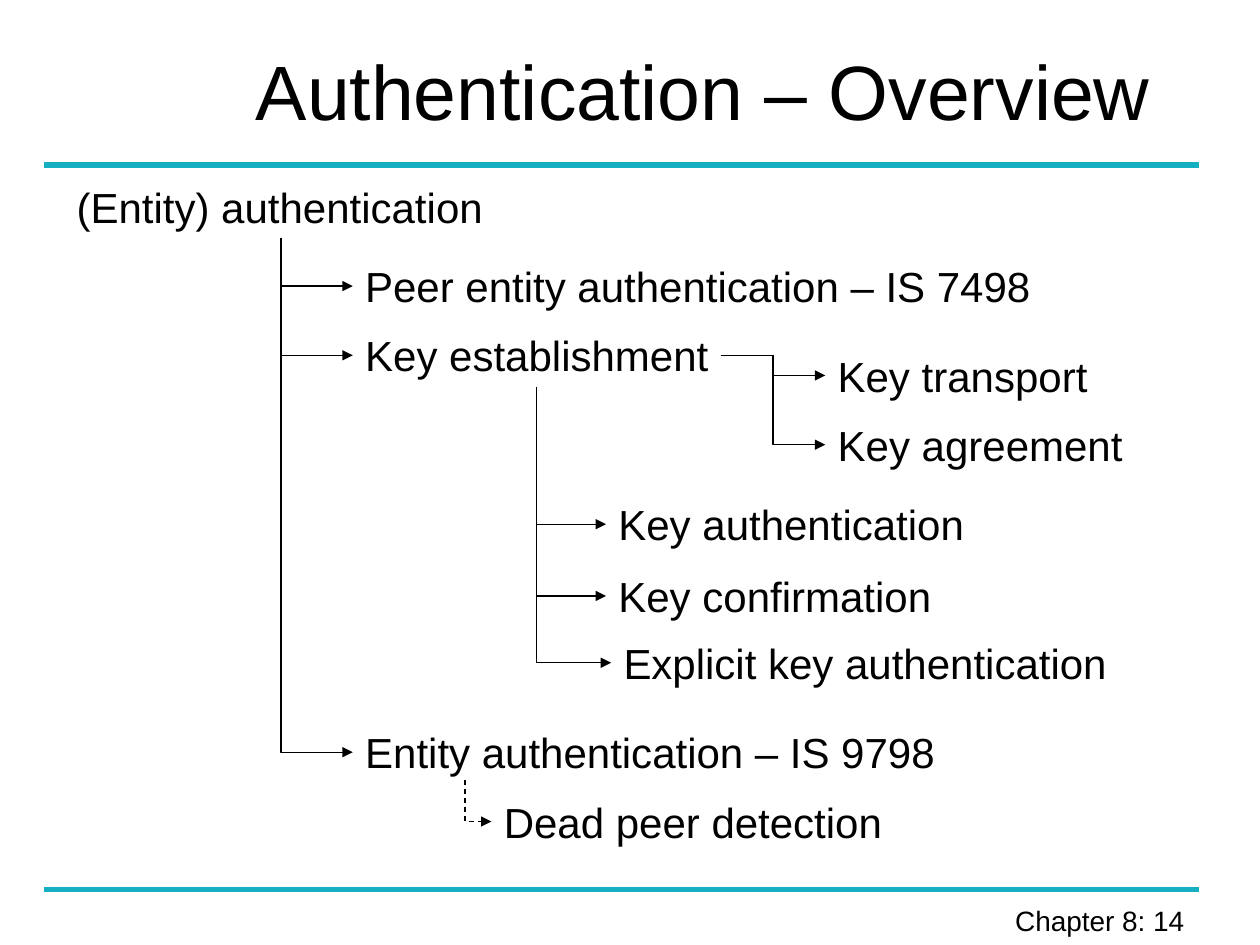
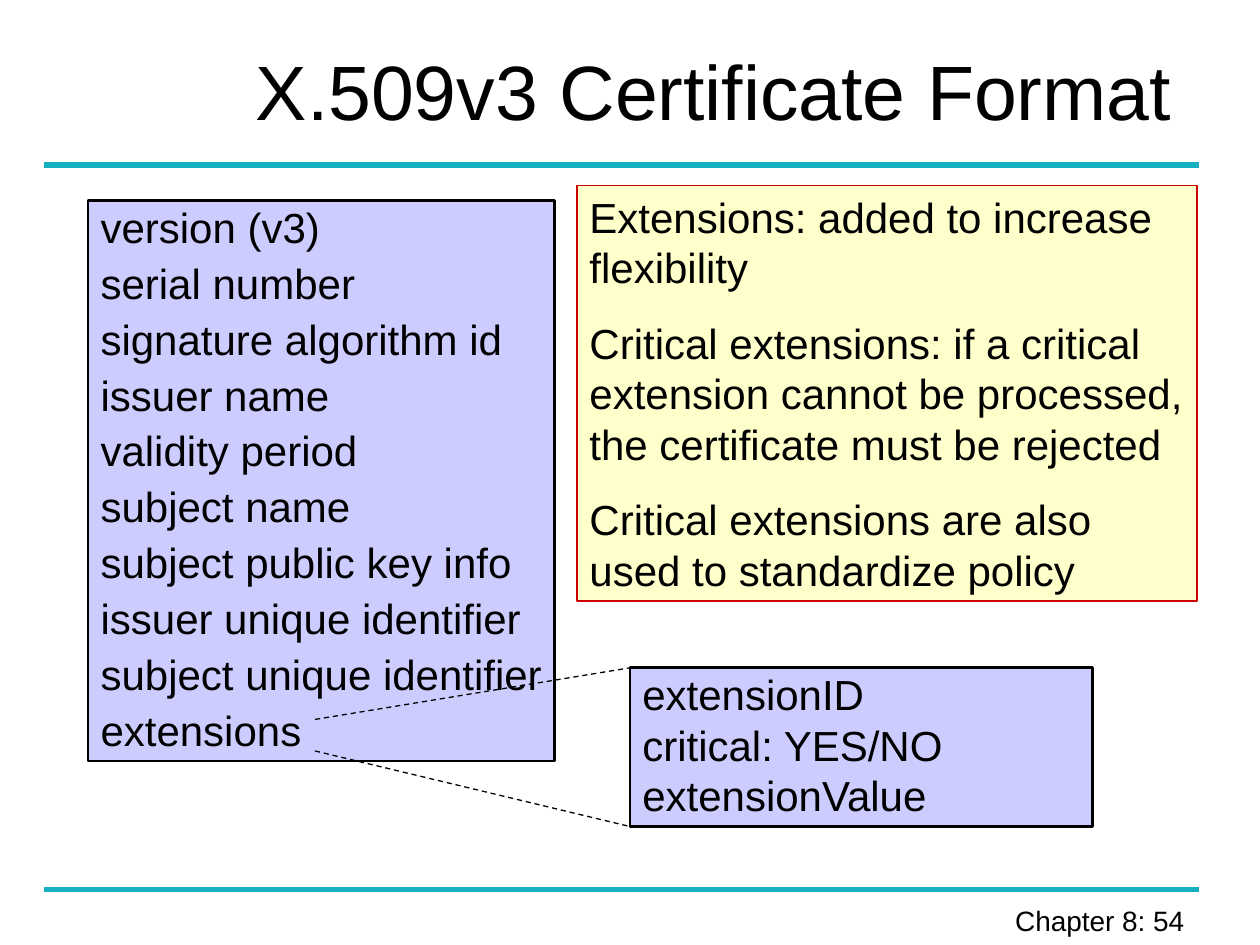
from dataclasses import dataclass
from lxml.etree import SubElement
from pptx import Presentation
from pptx.dml.color import RGBColor
from pptx.enum.dml import MSO_LINE
from pptx.enum.shapes import MSO_CONNECTOR, MSO_SHAPE
from pptx.enum.text import MSO_ANCHOR, PP_ALIGN
from pptx.oxml.ns import qn
from pptx.util import Inches, Pt


@dataclass(frozen=True)
class Theme:
    font: str = "Arial"
    ink: str = "000000"
    band: str = "16AFC2"
    lilac: str = "CCCCFF"
    cream: str = "FFFFCC"
    red: str = "CC0000"
    title: int = 44
    body: int = 24
    foot: int = 16
    lead: float = 28.8
    tight: float = 25.9
    gap: float = 14.4
    thin: float = 0.75
    edge: float = 1.5
    thick: float = 3


THEME = Theme()
LABEL = 0.5  # height of a tree label
SLACK = 0.06  # spare width that keeps a label on one line


def color(code):
    return RGBColor.from_string(code)


# Text
def write(para, text, size, lead=None, before=0):
    para.alignment = PP_ALIGN.LEFT
    para.space_before = Pt(before)
    if lead:
        para.line_spacing = Pt(lead)
    run = para.add_run()
    run.text = text
    run.font.name = THEME.font
    run.font.size = Pt(size)
    run.font.color.rgb = color(THEME.ink)


def fill(frame, lines):
    """Write (text, line pitch, space before) rows as paragraphs."""
    for i, (text, lead, before) in enumerate(lines):
        para = frame.add_paragraph() if i else frame.paragraphs[0]
        write(para, text, THEME.body, lead, before if i else 0)


def label(slide, text, left, top, width):
    box = slide.shapes.add_textbox(
        *map(Inches, (left, top, width + SLACK, LABEL)))
    box.text_frame.word_wrap = True
    fill(box.text_frame, [(text, THEME.lead, 0)])


def panel(slide, box, lines, back, edge, width, wrap=True):
    rect = slide.shapes.add_shape(MSO_SHAPE.RECTANGLE, *map(Inches, box))
    rect.shadow.inherit = False
    rect.fill.solid()
    rect.fill.fore_color.rgb = color(back)
    rect.line.color.rgb = color(edge)
    rect.line.width = Pt(width)
    frame = rect.text_frame
    frame.word_wrap = wrap
    frame.vertical_anchor = MSO_ANCHOR.TOP
    fill(frame, lines)


# Lines
def link(slide, start, end, tint=THEME.ink, width=THEME.thin, dash=False,
         arrow=False, kind=MSO_CONNECTOR.STRAIGHT):
    line = slide.shapes.add_connector(kind, *map(Inches, (*start, *end)))
    line.line.color.rgb = color(tint)
    line.line.width = Pt(width)
    if dash:
        line.line.dash_style = MSO_LINE.DASH
    props = line.element.spPr
    if arrow:
        SubElement(props.find(qn("a:ln")), qn("a:tailEnd"), type="triangle")
    SubElement(props, qn("a:effectLst"))
    return line


def drop(slide, start, end, dash=False):
    """Arrow that runs down from start, then right to end."""
    (x1, y1), (x2, y2) = start, end
    midx, midy = (x1 + x2) / 2, (y1 + y2) / 2
    run, fall = (x2 - x1) / 2, (y2 - y1) / 2
    line = link(slide, (midx - fall, midy - run), (midx + fall, midy + run),
                dash=dash, arrow=True, kind=MSO_CONNECTOR.ELBOW)
    props = line.element.spPr
    props.find(qn("a:prstGeom")).set("prst", "bentConnector2")
    form = props.find(qn("a:xfrm"))
    form.set("rot", str(270 * 60000))
    form.set("flipH", "1")


# Parts shared by the slides
def base(deck, title, width, page):
    slide = deck.slides.add_slide(deck.slide_layouts[5])
    head = slide.shapes.title
    head.left, head.top = Inches(1.93), Inches(0.28)
    head.width, head.height = Inches(width), Inches(0.87)
    head.text_frame.vertical_anchor = MSO_ANCHOR.MIDDLE
    write(head.text_frame.paragraphs[0], title, THEME.title)
    for y in (1.31, 7.06):
        link(slide, (0.35, y), (9.52, y), THEME.band, THEME.thick)
    foot = slide.shapes.add_textbox(*map(Inches, (7.36, 7.12, 2.2, 0.64)))
    foot.text_frame.word_wrap = True
    para = foot.text_frame.paragraphs[0]
    write(para, f"Chapter 8: {page} ", THEME.foot)
    para.alignment = PP_ALIGN.RIGHT
    return slide


def branch(slide, stem, leaves, dash=False):
    """Labels hung from one stem, each reached by an arrow."""
    for text, left, top, width in leaves:
        label(slide, text, left, top, width)
        drop(slide, stem, (left, top + LABEL / 2), dash)


def tree(deck):
    slide = base(deck, "Authentication – Overview", 7.72, 14)
    label(slide, "(Entity) authentication", 0.51, 1.39, 3.42)
    branch(slide, (2.23, 1.89), [
        ("Peer entity authentication – IS 7498", 2.8, 2.02, 5.48),
        ("Key establishment", 2.8, 2.57, 2.92),
        ("Entity authentication – IS 9798", 2.8, 5.72, 4.72),
    ])
    branch(slide, (4.26, 3.07), [
        ("Key authentication", 4.81, 3.91, 2.94),
        ("Key confirmation", 4.81, 4.48, 2.68),
        ("Explicit key authentication", 4.85, 5.01, 4.03),
    ])
    branch(slide, (3.69, 6.19),
           [("Dead peer detection", 3.9, 6.27, 3.2)], dash=True)
    # Side branch of key establishment
    for text, top, width in (("Key transport", 2.73, 2.18),
                             ("Key agreement", 3.28, 2.46)):
        label(slide, text, 6.55, top, width)
        link(slide, (5.72, 2.82), (6.55, top + LABEL / 2), arrow=True,
             kind=MSO_CONNECTOR.ELBOW)


def format_page(deck):
    slide = base(deck, "X.509v3 Certificate Format", 7.95, 54)
    # Notes on extensions
    notes = ("Extensions: added to increase flexibility",
             "Critical extensions: if a critical extension cannot be "
             "processed, the certificate must be rejected",
             "Critical extensions are also used to standardize policy")
    panel(slide, (4.58, 1.47, 4.92, 3.3),
          [(note, THEME.lead, THEME.gap) for note in notes],
          THEME.cream, THEME.red, THEME.thin)
    # Certificate fields
    fields = ("version (v3)", "serial number", "signature algorithm id",
              "issuer name", "validity period", "subject name",
              "subject public key info", "issuer unique identifier",
              "subject unique identifier", "extensions")
    panel(slide, (0.7, 1.59, 3.7, 4.45),
          [(name, THEME.tight, 6) for name in fields],
          THEME.lilac, THEME.ink, THEME.edge, wrap=False)
    # Extension detail, zoomed out of the last field
    left, top, width, height = 5, 5.3, 3.67, 1.26
    panel(slide, (left, top, width, height),
          [("extensionID", THEME.tight, 0),
           ("critical: YES/NO extensionValue", THEME.lead, 0)],
          THEME.lilac, THEME.ink, THEME.edge)
    for y, end in ((5.71, top), (5.96, top + height)):
        link(slide, (2.5, y), (left, end), dash=True)


def main():
    deck = Presentation()
    deck.slide_width, deck.slide_height = Inches(10), Inches(7.5)
    tree(deck)
    format_page(deck)
    deck.save("out.pptx")


if __name__ == "__main__":
    main()
